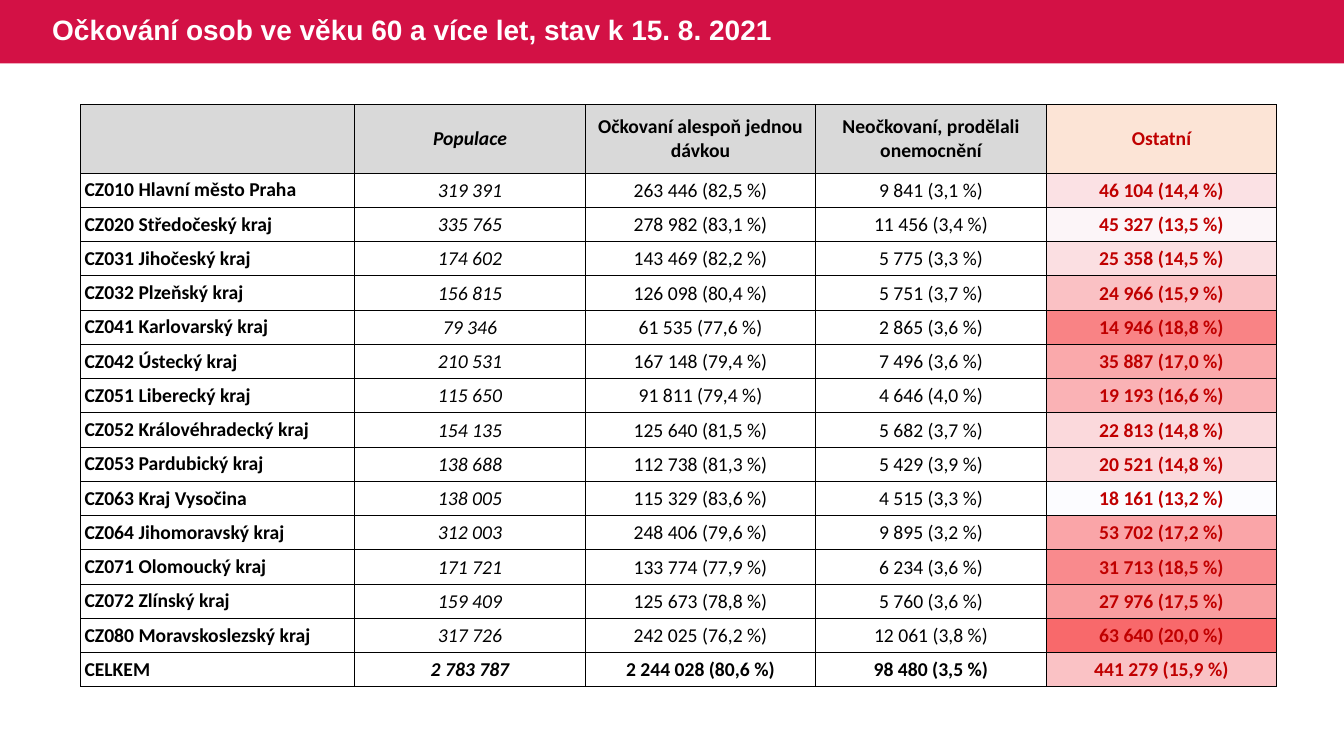
from lxml import etree
from pptx import Presentation
from pptx import util as u
from pptx.dml.color import RGBColor
from pptx.enum import shapes, text
from pptx.oxml import ns

CRIMSON = RGBColor(0xD3, 0x11, 0x45)
WHITE = RGBColor(0xFF, 0xFF, 0xFF)
BLACK = RGBColor(0, 0, 0)
DARK_RED = RGBColor(0xC0, 0, 0)
GREY = RGBColor(0xD9, 0xD9, 0xD9)
PEACH = RGBColor(0xFC, 0xE4, 0xD6)
SCALE_LOW = RGBColor(0xFC, 0xFC, 0xFF)
SCALE_HIGH = RGBColor(0xF8, 0x69, 0x6B)

PLAIN_STYLE = "{2D5ABB26-0587-4C30-8999-92F81FD0307C}"
LEFT, TOP = 2.03, 2.63
NAME_W, VALUE_W = 6.91, 5.81
HEAD_H, ROW_H = 1.73, 12.95 / 15

HEADER = ["", "Populace", "Očkovaní alespoň jednou dávkou",
          "Neočkovaní, prodělali onemocnění", "Ostatní"]
REGIONS = [
    ["CZ010 Hlavní město Praha", "319 391", "263 446 (82,5 %)", "9 841 (3,1 %)", "46 104 (14,4 %)"],
    ["CZ020 Středočeský kraj", "335 765", "278 982 (83,1 %)", "11 456 (3,4 %)", "45 327 (13,5 %)"],
    ["CZ031 Jihočeský kraj", "174 602", "143 469 (82,2 %)", "5 775 (3,3 %)", "25 358 (14,5 %)"],
    ["CZ032 Plzeňský kraj", "156 815", "126 098 (80,4 %)", "5 751 (3,7 %)", "24 966 (15,9 %)"],
    ["CZ041 Karlovarský kraj", "79 346", "61 535 (77,6 %)", "2 865 (3,6 %)", "14 946 (18,8 %)"],
    ["CZ042 Ústecký kraj", "210 531", "167 148 (79,4 %)", "7 496 (3,6 %)", "35 887 (17,0 %)"],
    ["CZ051 Liberecký kraj", "115 650", "91 811 (79,4 %)", "4 646 (4,0 %)", "19 193 (16,6 %)"],
    ["CZ052 Královéhradecký kraj", "154 135", "125 640 (81,5 %)", "5 682 (3,7 %)", "22 813 (14,8 %)"],
    ["CZ053 Pardubický kraj", "138 688", "112 738 (81,3 %)", "5 429 (3,9 %)", "20 521 (14,8 %)"],
    ["CZ063 Kraj Vysočina", "138 005", "115 329 (83,6 %)", "4 515 (3,3 %)", "18 161 (13,2 %)"],
    ["CZ064 Jihomoravský kraj", "312 003", "248 406 (79,6 %)", "9 895 (3,2 %)", "53 702 (17,2 %)"],
    ["CZ071 Olomoucký kraj", "171 721", "133 774 (77,9 %)", "6 234 (3,6 %)", "31 713 (18,5 %)"],
    ["CZ072 Zlínský kraj", "159 409", "125 673 (78,8 %)", "5 760 (3,6 %)", "27 976 (17,5 %)"],
    ["CZ080 Moravskoslezský kraj", "317 726", "242 025 (76,2 %)", "12 061 (3,8 %)", "63 640 (20,0 %)"],
    ["CELKEM", "2 783 787", "2 244 028 (80,6 %)", "98 480 (3,5 %)", "441 279 (15,9 %)"],
]


def set_attrs(obj, values):
    for name, value in values.items():
        setattr(obj, name, value)


def write(p, string, color, **font):
    r = p.add_run()
    r.text = string
    set_attrs(r.font, font)
    r.font.color.rgb = color


def add_bar(slide, width, height):
    sp = slide.shapes.add_shape(shapes.MSO_SHAPE.RECTANGLE, 0, 0, width, height)
    sp.shadow.inherit = False
    sp.fill.solid()
    sp.fill.fore_color.rgb = CRIMSON
    sp.line.fill.background()
    # Send the bar behind the title
    slide.shapes._spTree.insert(2, sp._element)


def set_title(slide, string, height):
    sp = slide.shapes.title
    set_attrs(sp, dict(left=u.Cm(1.06), top=0, width=u.Cm(21.03), height=height))
    tf = sp.text_frame
    set_attrs(tf, dict(vertical_anchor=text.MSO_ANCHOR.MIDDLE, word_wrap=True,
                       auto_size=text.MSO_AUTO_SIZE.NONE))
    p = tf.paragraphs[0]
    set_attrs(p, dict(alignment=text.PP_ALIGN.LEFT, line_spacing=0.9))
    write(p, string, WHITE, name="Arial", size=u.Pt(20), bold=True)


def add_plain_table(slide, left, top, widths, heights):
    frame = slide.shapes.add_table(len(heights), len(widths), u.Cm(left), u.Cm(top),
                                   u.Cm(sum(widths)), u.Cm(sum(heights)))
    table = frame.table
    set_attrs(table, dict(first_row=False, horz_banding=False))
    table._tbl.tblPr.find(ns.qn("a:tableStyleId")).text = PLAIN_STYLE
    for column, width in zip(table.columns, widths):
        column.width = u.Cm(width)
    for row, height in zip(table.rows, heights):
        row.height = u.Cm(height)
    return table


def format_cell(cell, fill, side=0.0, top=0.0):
    set_attrs(cell, dict(vertical_anchor=text.MSO_ANCHOR.MIDDLE,
                         margin_left=u.Cm(side), margin_right=u.Cm(side),
                         margin_top=u.Cm(top), margin_bottom=0))
    if fill is None:
        cell.fill.background()
    else:
        cell.fill.solid()
        cell.fill.fore_color.rgb = fill


def add_borders(cell):
    tcPr = cell._tc.get_or_add_tcPr()
    for i, tag in enumerate(("a:lnL", "a:lnR", "a:lnT", "a:lnB")):
        ln = etree.Element(ns.qn(tag), w=str(u.Pt(0.5)))
        fill = etree.SubElement(ln, ns.qn("a:solidFill"))
        etree.SubElement(fill, ns.qn("a:srgbClr"), val=str(BLACK))
        tcPr.insert(i, ln)


def count(string):
    return int(string.split("(")[0].replace(" ", ""))


def add_heat_column(slide):
    """Colour scale of the share of others, from lowest to highest."""
    shares = [count(row[4]) / count(row[1]) for row in REGIONS]
    low, high = min(shares), max(shares)
    table = add_plain_table(slide, LEFT + NAME_W + 3 * VALUE_W, TOP + HEAD_H,
                            [VALUE_W], [ROW_H] * len(REGIONS))
    for i, share in enumerate(shares):
        t = (share - low) / (high - low)
        mixed = [round(a + (b - a) * t) for a, b in zip(SCALE_LOW, SCALE_HIGH)]
        format_cell(table.cell(i, 0), RGBColor(*mixed))


def add_region_table(slide):
    rows = [HEADER] + REGIONS
    table = add_plain_table(slide, LEFT, TOP, [NAME_W] + [VALUE_W] * 4,
                            [HEAD_H] + [ROW_H] * len(REGIONS))
    for i, row in enumerate(rows):
        head, total = i == 0, i == len(rows) - 1
        for j, string in enumerate(row):
            cell = table.cell(i, j)
            name, others = j == 0, j == 4
            fill = (PEACH if others else GREY) if head else None
            if head or name:
                format_cell(cell, fill, side=0.1)
            else:
                format_cell(cell, fill, side=0.02, top=0.02)
            add_borders(cell)
            if string:
                p = cell.text_frame.paragraphs[0]
                p.alignment = text.PP_ALIGN.LEFT if name else text.PP_ALIGN.CENTER
                write(p, string, DARK_RED if others else BLACK, name="Calibri",
                      size=u.Pt(14), bold=head or total or name or others, italic=j == 1)


def main():
    prs = Presentation()
    set_attrs(prs, dict(slide_width=u.Cm(33.87), slide_height=u.Cm(19.05)))
    slide = prs.slides.add_slide(prs.slide_layouts[5])

    # Title band
    band = u.Cm(1.6)
    add_bar(slide, prs.slide_width, band)
    set_title(slide, "Očkování osob ve věku 60 a více let, stav k 15. 8. 2021", band)

    # Colour scale with the transparent data table on top
    add_heat_column(slide)
    add_region_table(slide)

    prs.save("out.pptx")


if __name__ == "__main__":
    main()
